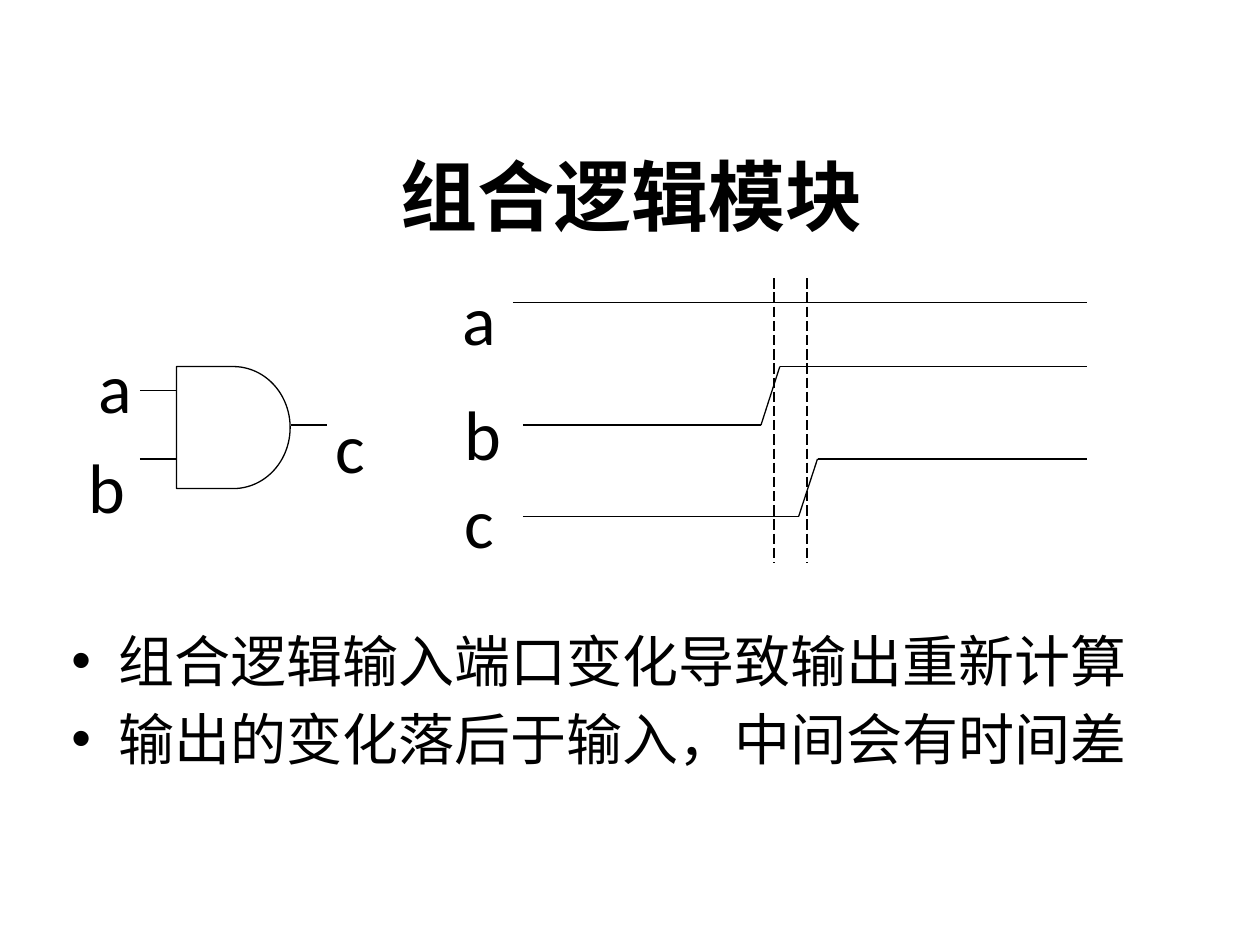
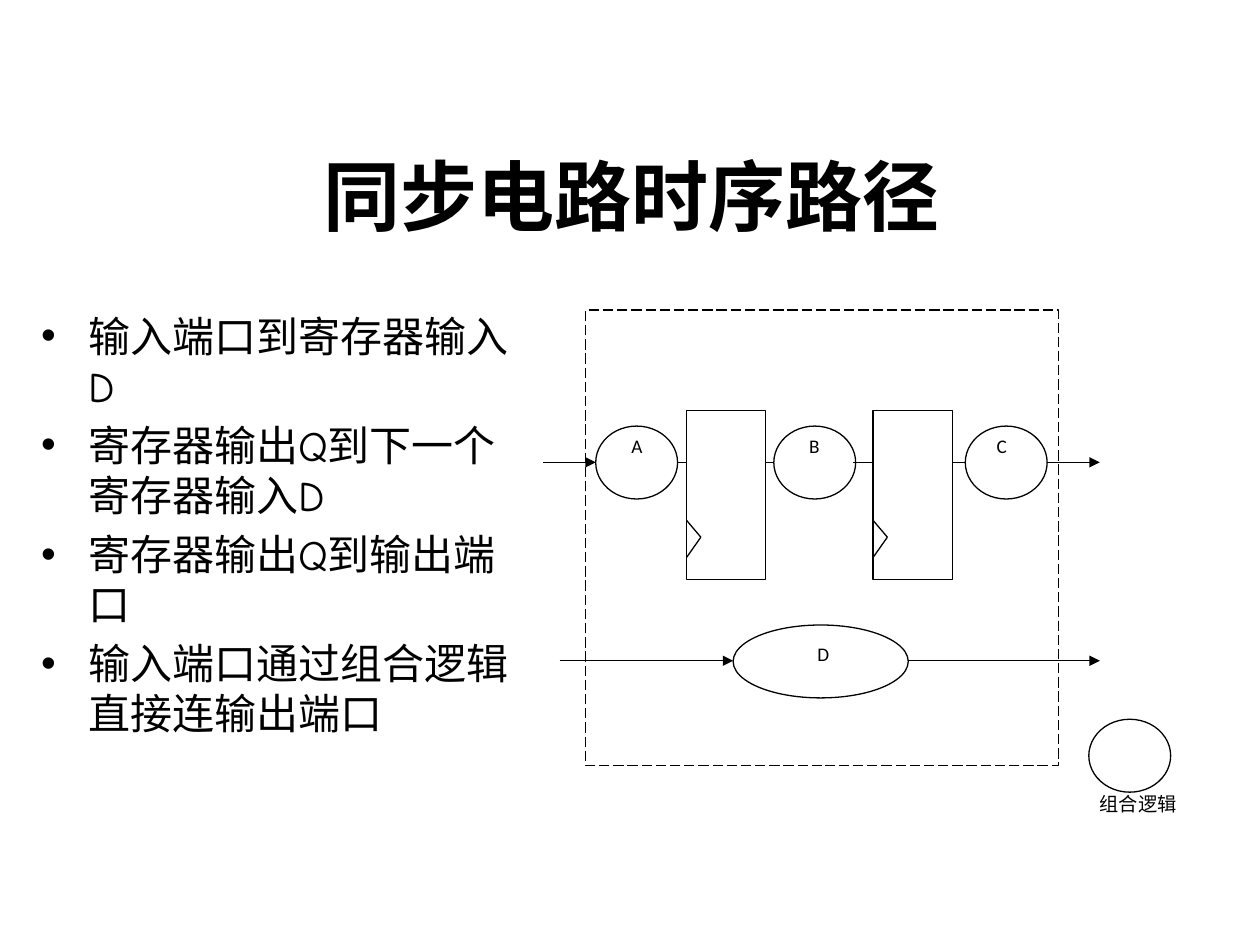
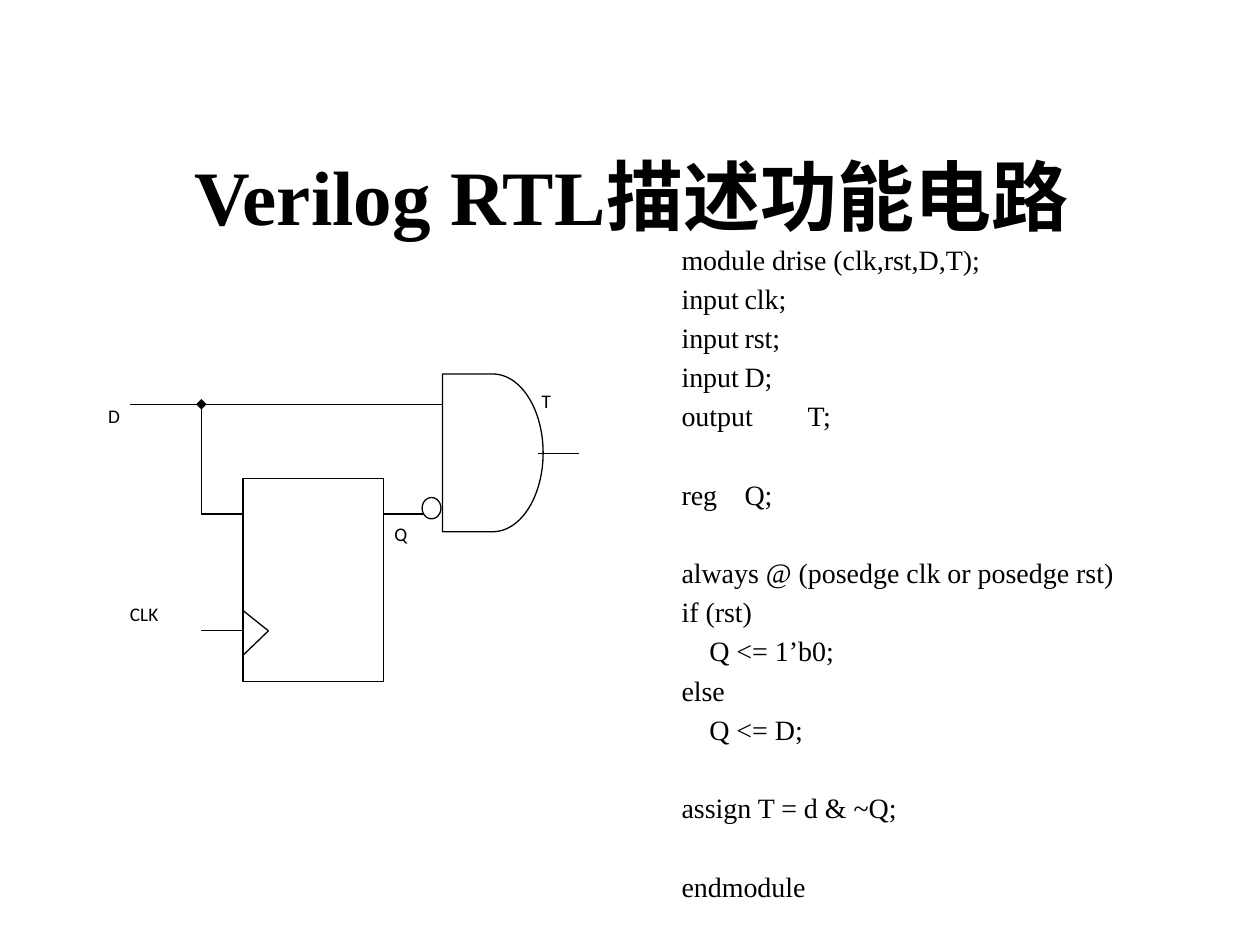
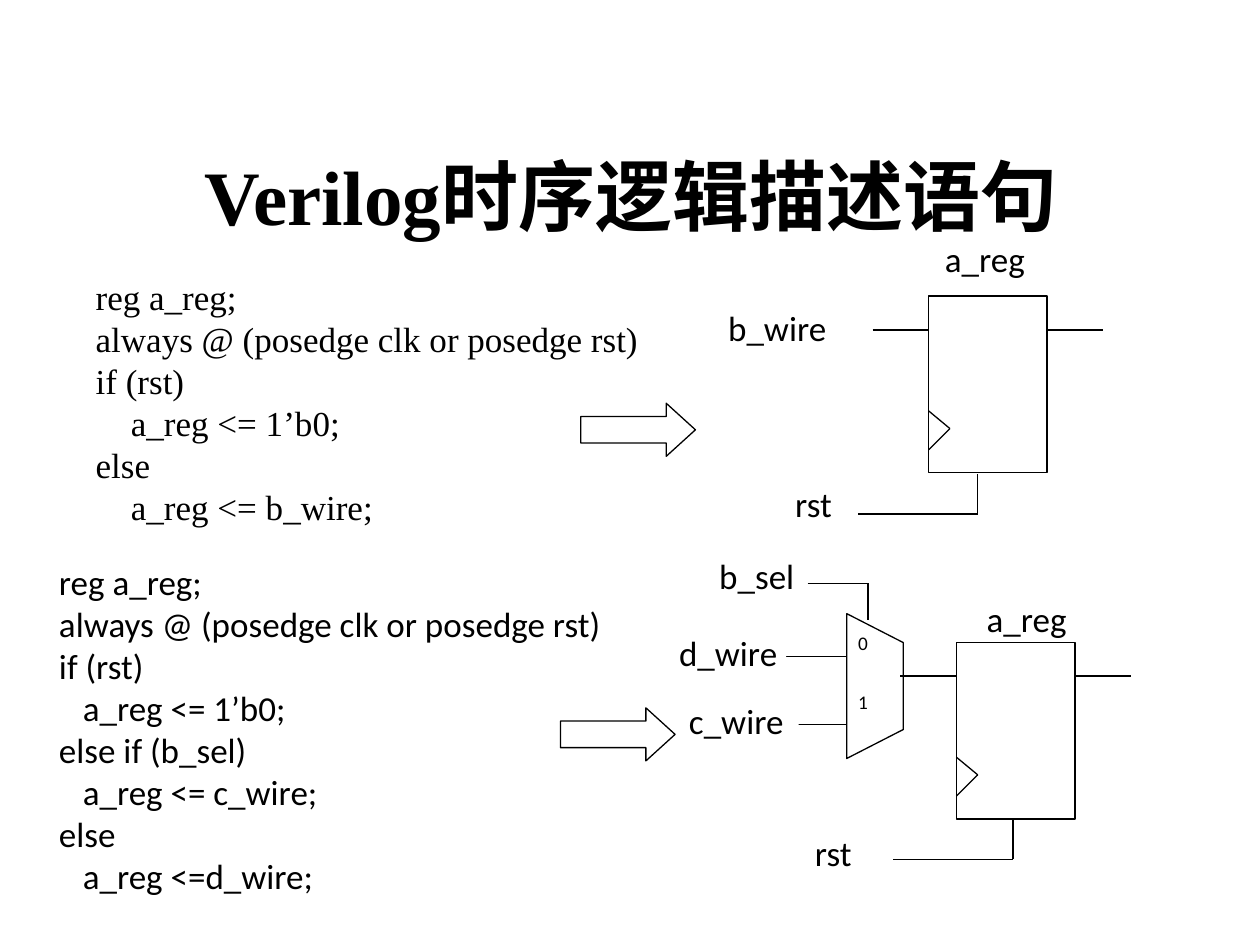
import pptx
import pptx.util
import pptx.dml.color
import pptx.enum.dml
import pptx.enum.shapes
import pptx.enum.text
import pptx.oxml
import pptx.oxml.ns

Cm = pptx.util.Cm
Pt = pptx.util.Pt
Kind = pptx.enum.shapes.MSO_SHAPE
Dash = pptx.enum.dml.MSO_LINE
Align = pptx.enum.text.PP_ALIGN
Anchor = pptx.enum.text.MSO_ANCHOR

HUES = {"ink": "000000", "paper": "FFFFFF"}
SERIF, SANS, BODY = "Times New Roman", "Calibri", "Comic Neue"
PAD = (0.25, 0.13)


def hue(name):
    return pptx.dml.color.RGBColor.from_string(HUES[name])


def add_node(parent, tag, **attrs):
    node = pptx.oxml.ns.qn(tag)
    child = parent.makeelement(node, {key: str(val) for key, val in attrs.items()})
    parent.append(child)
    return child


def write(par, text, size=20, font=SANS, bold=False, align=Align.LEFT,
          left=0, hang=0, before=0, bullet=None, tab=None, lead=None):
    par.alignment = align
    par.space_before = Pt(before)
    if lead:
        par.line_spacing = Pt(lead)
    props = par._p.get_or_add_pPr()
    props.set("marL", str(Cm(left)))
    props.set("indent", str(-Cm(hang)))
    if bullet:
        add_node(props, "a:buFont", typeface="Arial")
        add_node(props, "a:buChar", char=bullet)
    if tab:
        stops = add_node(props, "a:tabLst")
        add_node(stops, "a:tab", pos=Cm(tab), algn="l")
    run = par.add_run()
    run.text = text
    run.font.size = Pt(size)
    run.font.name = font
    run.font.bold = bold
    run.font.color.rgb = hue("ink")


def frame(slide, x, y, w, h, pad=(0, 0), anchor=Anchor.TOP, fill=False):
    box = slide.shapes.add_textbox(Cm(x), Cm(y), Cm(w), Cm(h))
    if fill:
        box.fill.solid()
        box.fill.fore_color.rgb = hue("paper")
    text = box.text_frame
    text.word_wrap = True
    text.vertical_anchor = anchor
    text.margin_left = text.margin_right = Cm(pad[0])
    text.margin_top = text.margin_bottom = Cm(pad[1])
    return text


def lines(text):
    yield text.paragraphs[0]
    while True:
        yield text.add_paragraph()


def label(slide, text, x, y, w=1.78, h=1.19, size=20, fill=False):
    write(frame(slide, x, y, w, h, fill=fill).paragraphs[0], text, size=size)


def tag(slide, text, x, y, w=1.3):
    label(slide, text, x, y, w, 0.89, 11)


def bullets(slide, items, x, y, w, h, size):
    text = frame(slide, x, y, w, h, PAD)
    for par, item in zip(lines(text), items):
        write(par, item, size=size, font=BODY, left=0.95, hang=0.95,
              before=size * 0.2, bullet="•")


def code(slide, rows, x, y, w, h, size, font, step, left=0, before=0,
         pad=(0, 0), tab=None):
    pars = lines(frame(slide, x, y, w, h, pad, fill=True))
    lead = size * 1.2
    gap = 0
    for row in rows:
        if not row:
            gap = lead + before
            continue
        inset = step if row.startswith("\t") else 0
        write(next(pars), row.lstrip("\t"), size=size, font=font, left=left + inset,
              before=before + gap, tab=tab, lead=lead)
        gap = 0


def block(slide, kind, x, y, w, h, dash=None, turn=0):
    form = slide.shapes.add_shape(kind, Cm(x), Cm(y), Cm(w), Cm(h))
    form.shadow.inherit = False
    form.fill.solid()
    form.fill.fore_color.rgb = hue("paper")
    form.line.color.rgb = hue("ink")
    form.line.width = Pt(0.75)
    form.line.dash_style = dash
    form.rotation = turn
    return form


def trace(slide, *points, dash=None, head=None, tail=None):
    for (x1, y1), (x2, y2) in zip(points, points[1:]):
        wire = slide.shapes.add_connector(
            pptx.enum.shapes.MSO_CONNECTOR.STRAIGHT, Cm(x1), Cm(y1), Cm(x2), Cm(y2))
        wire.line.color.rgb = hue("ink")
        wire.line.width = Pt(0.75)
        wire.line.dash_style = dash
        edge = wire.line._get_or_add_ln()
        if head:
            add_node(edge, "a:headEnd", type=head)
        if tail:
            add_node(edge, "a:tailEnd", type=tail)
        add_node(wire._element.spPr, "a:effectLst")


def level(slide, y, *spans, tail=None):
    for start, end in spans:
        trace(slide, (start, y), (end, y), tail=tail)


def latch(slide, x, y, w, h):
    block(slide, Kind.RECTANGLE, x, y, w, h)
    trace(slide, (x, y + 0.65 * h), (x + 0.18 * w, y + 0.75 * h), (x, y + 0.87 * h))


def arrow(slide, x, y):
    form = block(slide, Kind.RIGHT_ARROW, x, y, 2.31, 1.07)
    form.adjustments[1] = 0.55


def page(deck, title):
    slide = deck.slides.add_slide(deck.slide_layouts[6])
    text = frame(slide, 1.3, 2.34, 22.86, 3.18, PAD, Anchor.MIDDLE)
    write(text.paragraphs[0], title, size=44, font=SERIF, bold=True, align=Align.CENTER)
    return slide


def logic(deck):
    slide = page(deck, "组合逻辑模块")
    block(slide, Kind.FLOWCHART_DELAY, 3.56, 7.39, 2.29, 2.46)
    for y in (7.87, 9.25):
        level(slide, y, (2.82, 3.56))
    level(slide, 8.57, (5.87, 6.6))
    level(slide, 6.1, (10.34, 21.92))
    for low, high, start in ((8.57, 7.39, 15.34), (10.41, 9.25, 16.1)):
        trace(slide, (10.54, low), (start, low), (start + 0.38, high), (21.92, high))
    for x in (15.6, 16.27):
        trace(slide, (x, 5.61), (x, 11.35), dash=Dash.LONG_DASH)
    for name, x, y in (("a", 9.32, 5.56), ("b", 9.37, 7.87), ("c", 9.37, 9.65),
                       ("a", 1.98, 6.93), ("b", 1.78, 8.94), ("c", 6.76, 8.13)):
        label(slide, name, x, y, 0.64, 1.02, 40)
    bullets(slide, ["组合逻辑输入端口变化导致输出重新计算",
                    "输出的变化落后于输入，中间会有时间差"],
            1.19, 12.5, 22.43, 4.57, 32)


def paths(deck):
    slide = page(deck, "同步电路时序路径")
    block(slide, Kind.RECTANGLE, 11.81, 6.25, 9.53, 9.19, dash=Dash.LONG_DASH)
    for x in (13.84, 17.6):
        latch(slide, x, 8.28, 1.6, 3.4)
    for x, y, w in ((12.01, 8.59, 1.65), (15.6, 8.59, 1.65), (19.46, 8.59, 1.65),
                    (14.78, 12.6, 3.53), (21.95, 14.5, 1.65)):
        block(slide, Kind.OVAL, x, y, w, 1.47)
    level(slide, 9.32, (13.67, 13.84), (15.42, 15.6), (17.2, 17.6), (19.2, 19.46))
    level(slide, 9.32, (10.95, 12.01), (21.1, 22.17), tail="triangle")
    level(slide, 13.32, (11.28, 14.78), (18.31, 22.17), tail="triangle")
    tag(slide, "组合逻辑", 22.17, 15.98, 1.78)
    for name, x, y in (("A", 12.73, 8.76), ("B", 16.31, 8.76),
                       ("C", 20.09, 8.76), ("D", 16.48, 12.95)):
        tag(slide, name, x, y, 0.33)
    bullets(slide, ["输入端口到寄存器输入D", "寄存器输出Q到下一个寄存器输入D",
                    "寄存器输出Q到输出端口", "输入端口通过组合逻辑直接连输出端口"],
            0.58, 6.12, 10.11, 10.9, 24)


def drise(deck):
    slide = page(deck, "Verilog RTL描述功能电路")
    rows = ["module drise (clk,rst,D,T);", "input\tclk;", "input\trst;", "input\tD;",
            "output\tT;", "", "reg\tQ;", "", "always @ (posedge clk or posedge rst)",
            "if (rst)", "\tQ <= 1’b0;", "else", "\tQ <= D;", "",
            "assign T = d & ~Q;", "", "endmodule"]
    code(slide, rows, 13.49, 4.75, 9.73, 13.69, 16, SERIF, 0.56,
         before=3.2, pad=PAD, tab=1.6)
    latch(slide, 4.9, 9.65, 2.84, 4.09)
    level(slide, 12.71, (4.06, 4.9))
    level(slide, 10.36, (4.06, 4.9), (7.75, 8.59))
    level(slide, 8.15, (2.62, 8.92))
    block(slide, Kind.FLOWCHART_DELAY, 8.92, 7.54, 2.03, 3.18)
    block(slide, Kind.OVAL, 8.51, 10.03, 0.38, 0.43)
    level(slide, 9.14, (10.85, 11.68))
    trace(slide, (4.06, 8.15), (4.06, 10.34), head="diamond")
    for name, x, y in (("CLK", 2.62, 12.14), ("D", 2.18, 8.15),
                       ("Q", 7.95, 10.52), ("T", 10.92, 7.85)):
        tag(slide, name, x, y)


def clocked(deck):
    slide = page(deck, "Verilog时序逻辑描述语句")
    block(slide, Kind.FLOWCHART_MANUAL_OPERATION, 16.18, 13.26, 2.92, 1.14, turn=270)
    start = ["reg a_reg;", "always @ (posedge clk or posedge rst)",
             "if (rst)", "\ta_reg <= 1’b0;"]
    code(slide, start + ["else", "\ta_reg <= b_wire;"],
         1.19, 5.56, 12.83, 4.95, 20, SERIF, 0.71, left=0.74)
    code(slide, start + ["else if (b_sel)", "\ta_reg <= c_wire;", "else", "\ta_reg <=d_wire;"],
         1.19, 11.3, 12.42, 6.78, 20, SANS, 0.48)
    arrow(slide, 11.71, 8.13)
    arrow(slide, 11.3, 14.27)
    for x, y in ((18.72, 5.97), (19.28, 12.95)):
        latch(slide, x, y, 2.39, 3.56)
        level(slide, y + 0.68, (x - 1.13, x), (x + 2.39, x + 3.52))
    for x, y, top in ((17.3, 10.36, 9.55), (18.01, 17.32, 16.51)):
        trace(slide, (x, y), (x + 2.41, y), (x + 2.41, top))
    trace(slide, (16.28, 11.76), (17.5, 11.76), (17.5, 12.5))
    for y in (13.23, 14.61):
        level(slide, y, (15.85, 17.07))
    for name, x, y in (("b_wire", 14.68, 6.17), ("b_sel", 14.5, 11.18),
                       ("a_reg", 19.05, 4.78), ("a_reg", 19.89, 12.04),
                       ("rst", 16.03, 9.73), ("rst", 16.43, 16.76)):
        label(slide, name, x, y, 2.2 if name == "b_wire" else 1.78)
    label(slide, "d_wire", 13.69, 12.73, 2.16, fill=True)
    label(slide, "c_wire", 13.89, 14.1, 2.21, fill=True)
    tag(slide, "0", 17.3, 12.73, 0.43)
    tag(slide, "1", 17.3, 13.92, 0.43)


def main():
    deck = pptx.Presentation()
    deck.slide_width = Cm(25.4)
    deck.slide_height = Cm(19.05)
    for build in (logic, paths, drise, clocked):
        build(deck)
    deck.save("out.pptx")


if __name__ == "__main__":
    main()
